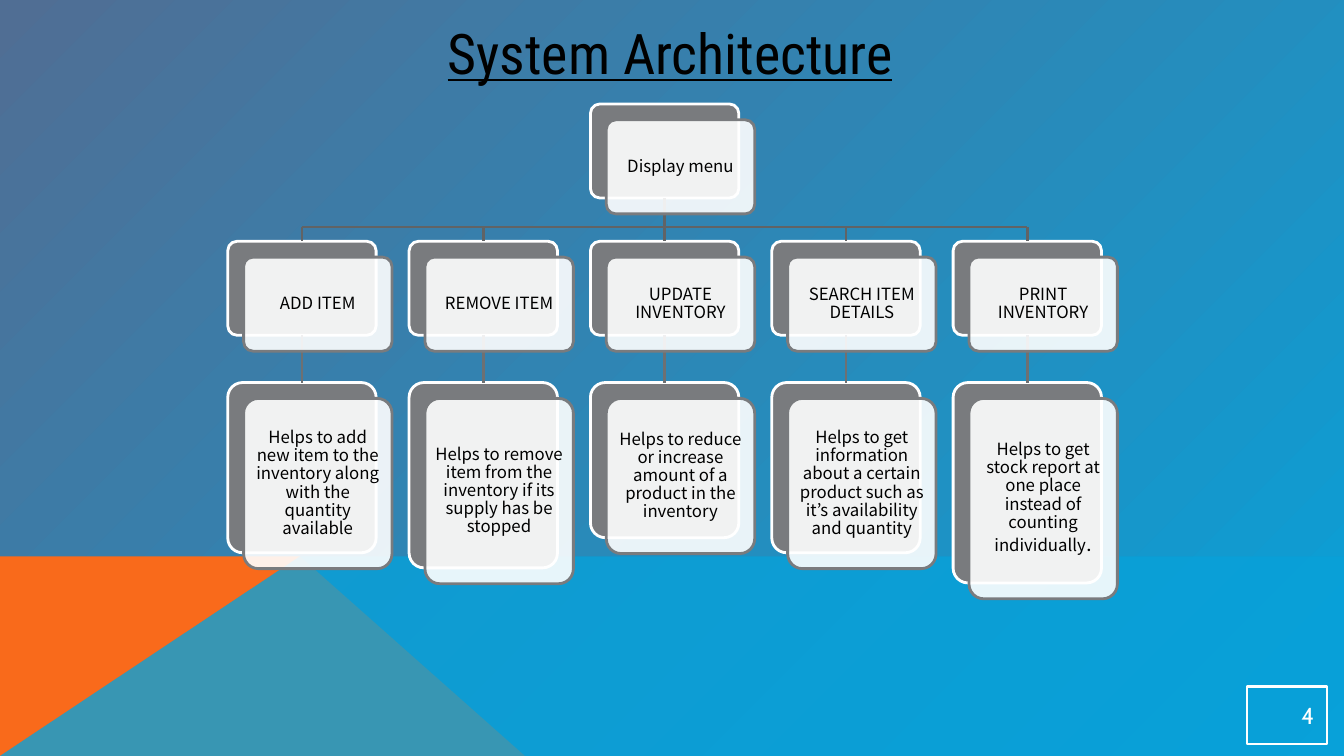
from pptx import Presentation
from pptx.dml.color import RGBColor
from pptx.enum.shapes import MSO_CONNECTOR as Connector, MSO_SHAPE as Preset
from pptx.enum.text import MSO_ANCHOR as Anchor, MSO_AUTO_SIZE as AutoSize, PP_ALIGN as Align
from pptx.oxml.ns import qn
from pptx.util import Cm, Pt
from lxml import etree

BLACK = RGBColor(0x00, 0x00, 0x00)
WHITE = RGBColor(0xFF, 0xFF, 0xFF)
SLATE = RGBColor(0x50, 0x6E, 0x94)
SKY = RGBColor(0x08, 0xA1, 0xD9)
ORANGE = RGBColor(0xF9, 0x6A, 0x1B)
GRAY = RGBColor(0x79, 0x7B, 0x7E)
TRUNK_GRAY = RGBColor(0x61, 0x63, 0x65)
BRANCH_GRAY = RGBColor(0x6E, 0x70, 0x72)

WIDTH, HEIGHT = Cm(33.87), Cm(19.05)
CARD_WIDTH, CARD_HEIGHT = Cm(3.74), Cm(2.37)
COLUMN_LEFT, COLUMN_STEP = Cm(5.74), Cm(4.57)
ROOT_TOP, BUS_TOP, ITEM_TOP, DETAIL_TOP = Cm(2.62), Cm(5.72), Cm(6.08), Cm(9.64)
OFFSET = Cm(0.4)

# Menu entry, explanation, height of the explanation card
MENU = [
    ("ADD ITEM", "Helps to add new item to the inventory along with the quantity available", Cm(4.29)),
    ("REMOVE ITEM", "Helps to remove item from the inventory if its supply has be stopped", Cm(4.67)),
    ("UPDATE INVENTORY", "Helps to reduce or increase amount of a product in the inventory", Cm(3.91)),
    ("SEARCH ITEM DETAILS",
     "Helps to get information about a certain product such as it’s availability and quantity", Cm(4.29)),
    ("PRINT INVENTORY",
     "Helps to get stock report at one place instead of counting individually", Cm(5.05)),
]


def paint(shape, fill, line=None, opacity=100):
    shape.shadow.inherit = False
    shape.fill.solid()
    shape.fill.fore_color.rgb = fill
    if opacity < 100:
        color = shape.fill._xPr.find(qn("a:solidFill"))[0]
        etree.SubElement(color, qn("a:alpha"), val=str(opacity * 1000))
    if line is None:
        shape.line.fill.background()
    else:
        shape.line.color.rgb = line
        shape.line.width = Pt(2)


def connect(color, x, top, end_x, bottom):
    connector = slide.shapes.add_connector(Connector.STRAIGHT, x, top, end_x, bottom)
    connector.line.color.rgb = color
    connector.line.width = Pt(2)
    etree.SubElement(connector._element.spPr, qn("a:effectLst"))
    return connector


presentation = Presentation()
presentation.slide_width, presentation.slide_height = WIDTH, HEIGHT
slide = presentation.slides.add_slide(presentation.slide_layouts[5])

# Background gradient
background = slide.background.fill
background.gradient()
background.gradient_angle = 315
for stop, color in zip(background.gradient_stops, (SLATE, SKY)):
    stop.color.rgb = color

# Bottom bands
peak, band_top = Cm(7.56), Cm(14.02)
for points, color, opacity in (
    ([(0, band_top), (peak, band_top), (Cm(13.23), HEIGHT)], ORANGE, 100),
    ([(peak, band_top), (WIDTH, band_top), (WIDTH, HEIGHT)], SKY, 80),
):
    builder = slide.shapes.build_freeform(0, HEIGHT)
    builder.add_line_segments(points, close=True)
    paint(builder.convert_to_shape(), color, opacity=opacity)

# Title
title = slide.shapes.title
title.left, title.top, title.width, title.height = Cm(10.95), Cm(0.36), Cm(11.92), Cm(2.13)
frame = title.text_frame
frame.auto_size = AutoSize.NONE
frame.vertical_anchor = Anchor.BOTTOM
frame.margin_left = frame.margin_right = frame.margin_top = frame.margin_bottom = Cm(0.33)
frame.text = "System Architecture"
paragraph = frame.paragraphs[0]
paragraph.alignment = Align.LEFT
paragraph.font.name = "Roboto Condensed"
paragraph.font.size = Pt(40)
paragraph.font.underline = True
paragraph.font.color.rgb = BLACK

# Slide number
number = slide.shapes.add_shape(Preset.RECTANGLE, Cm(31.42), Cm(17.3), Cm(2.03), Cm(1.45))
number.shadow.inherit = False
number.fill.background()
number.line.color.rgb = WHITE
number.line.width = Pt(1.5)
number.text_frame.margin_right = Cm(0.33)
number.text_frame.text = "4"
paragraph = number.text_frame.paragraphs[0]
paragraph.alignment = Align.RIGHT
paragraph.font.name = "Cabin"
paragraph.font.size = Pt(16.5)
paragraph.font.color.rgb = WHITE

# Card places: the root, then each item followed by its detail
lefts = [COLUMN_LEFT + column * COLUMN_STEP for column in range(len(MENU))]
cards = [("Display menu", lefts[2], ROOT_TOP, CARD_HEIGHT)]
for left, (item, detail, detail_height) in zip(lefts, MENU):
    cards.append((item, left, ITEM_TOP, CARD_HEIGHT))
    cards.append((detail, left, DETAIL_TOP, detail_height))

# Gray back plates
plates = []
for text, left, top, height in cards:
    plate = slide.shapes.add_shape(Preset.ROUNDED_RECTANGLE, left, top, CARD_WIDTH, height)
    plate.adjustments[0] = 0.1
    paint(plate, GRAY, WHITE)
    plates.append(plate)
root, items, details = plates[0], plates[1::2], plates[2::2]

# Tree lines
centers = [left + CARD_WIDTH // 2 for left in lefts]
connect(TRUNK_GRAY, centers[0], BUS_TOP, centers[-1], BUS_TOP)
for center, item, detail in zip(centers, items, details):
    drop = connect(TRUNK_GRAY, center, BUS_TOP, center, ITEM_TOP)
    if item is items[2]:
        drop.begin_connect(root, 2)
    drop.end_connect(item, 0)
    branch = connect(BRANCH_GRAY, center, ITEM_TOP + CARD_HEIGHT, center, DETAIL_TOP)
    branch.begin_connect(item, 2)
    branch.end_connect(detail, 0)

# White front cards with text
for text, left, top, height in cards:
    card = slide.shapes.add_shape(
        Preset.ROUNDED_RECTANGLE, left + OFFSET, top + OFFSET, CARD_WIDTH, height)
    card.adjustments[0] = 0.1
    paint(card, WHITE, GRAY, opacity=90)
    frame = card.text_frame
    frame.word_wrap = True
    frame.vertical_anchor = Anchor.MIDDLE
    frame.margin_left = frame.margin_right = frame.margin_top = frame.margin_bottom = Cm(0.12)
    frame.text = text
    paragraph = frame.paragraphs[0]
    paragraph.alignment = Align.CENTER
    paragraph.line_spacing = 0.9
    paragraph.font.name = "Noto Sans CJK KR"
    paragraph.font.size = Pt(12)
    paragraph.font.color.rgb = BLACK

# Larger full stop that closes the last card
full_stop = paragraph.add_run()
full_stop.text = "."
full_stop.font.name = "Roboto"
full_stop.font.size = Pt(16)

presentation.save("out.pptx")
